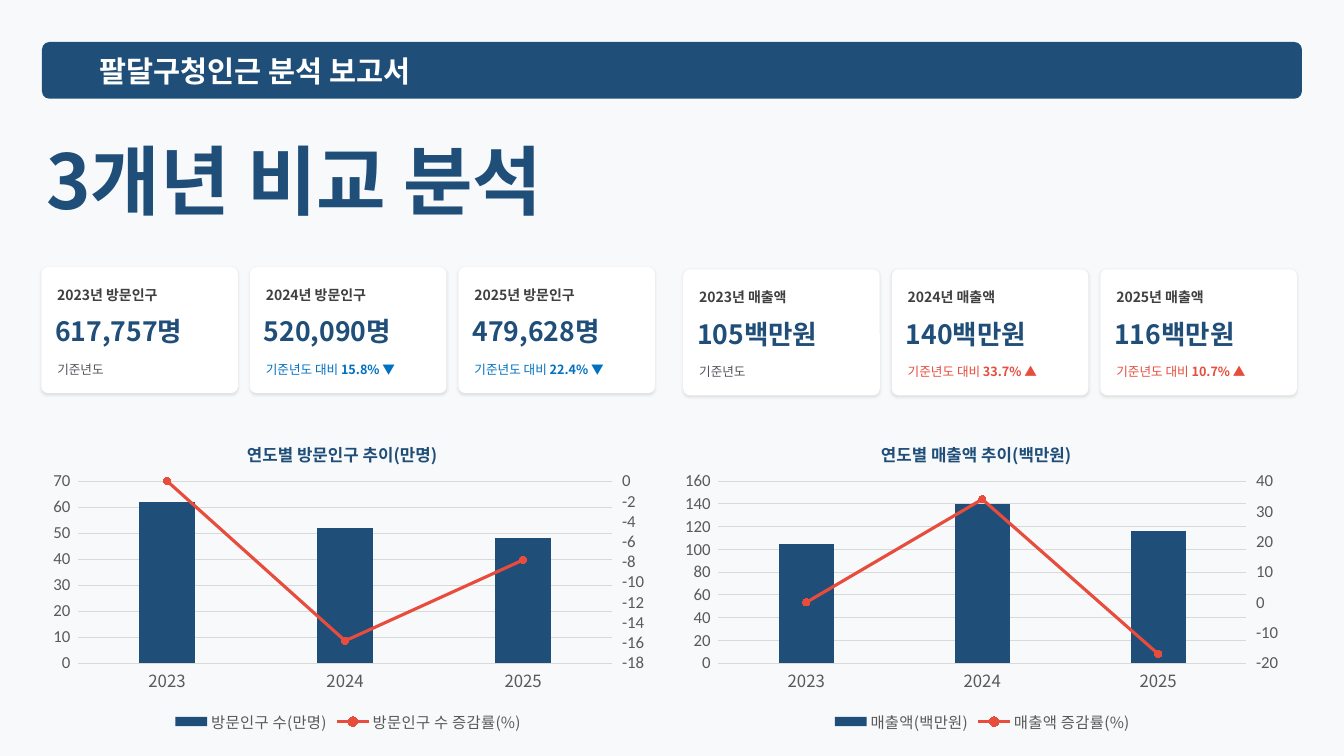
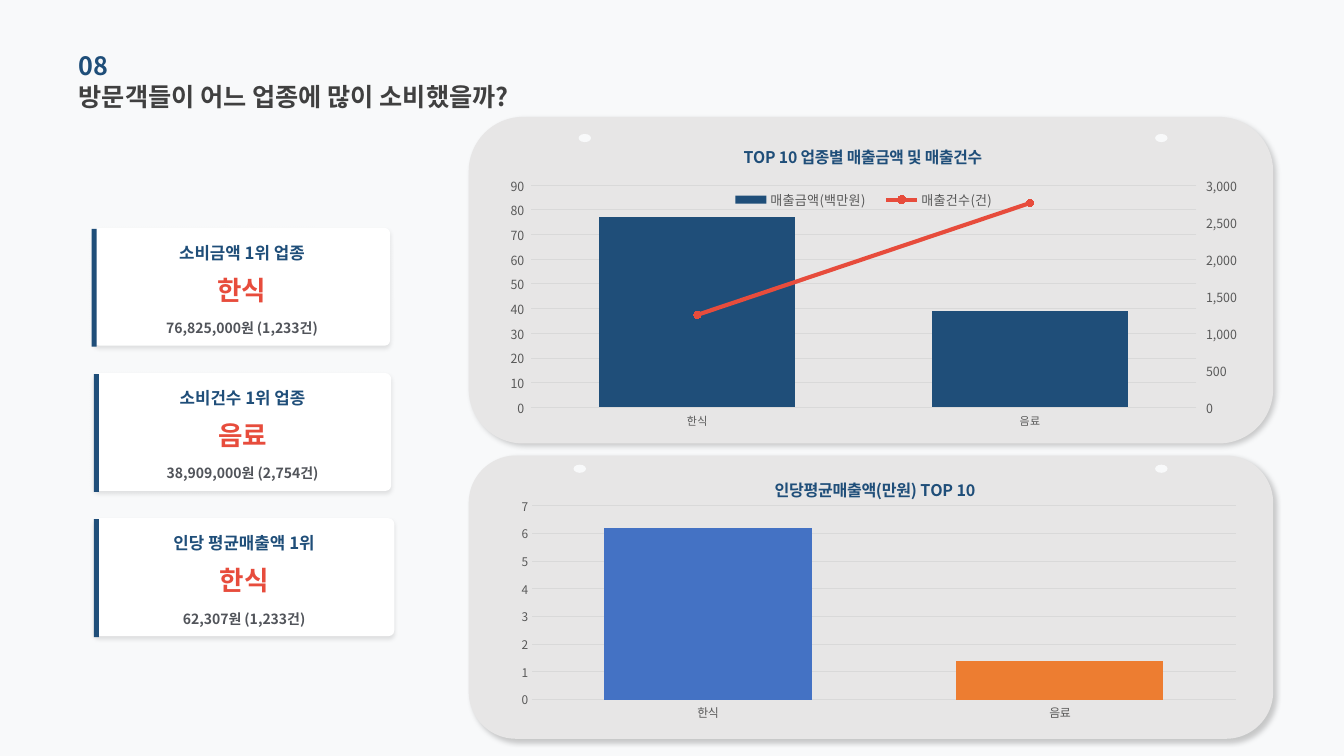
import dataclasses

import pptx
import pptx.chart.axis
import pptx.chart.data
import pptx.dml.color
import pptx.enum.chart
import pptx.enum.shapes
import pptx.enum.text
import pptx.oxml
import pptx.oxml.ns
import pptx.util

Pt = pptx.util.Pt
qn = pptx.oxml.ns.qn
SHAPE = pptx.enum.shapes.MSO_SHAPE
ALIGN = pptx.enum.text.PP_ALIGN
TICK = pptx.enum.chart.XL_TICK_MARK
LEGEND = pptx.enum.chart.XL_LEGEND_POSITION


@dataclasses.dataclass(frozen=True)
class Theme:
    """Colours, fonts and type sizes shared by the slides."""
    background: str = "F8F9FA"
    white: str = "FFFFFF"
    navy: str = "1F4E79"
    red: str = "E74C3C"
    blue: str = "0070C0"
    dark: str = "404040"
    grey: str = "51545A"
    axis: str = "595959"
    grid: str = "D9D9D9"
    panel: str = "E7E6E6"
    point_colors: tuple = ("4472C4", "ED7D31")
    font: str = "Noto Sans CJK KR"
    number_font: str = "Calibri"
    hero: float = 54
    banner: float = 21
    value: float = 19
    title: float = 18
    heading: float = 12
    label: float = 10
    note: float = 9


THEME = Theme()


@dataclasses.dataclass(frozen=True)
class ChartLook:
    """Type sizes and plot settings of one kind of chart."""
    title_size: float
    category_size: float
    value_size: float
    legend_size: float
    value_font: str
    gap: int
    overlap: int
    line_width: float
    legend_position: object


TREND_LOOK = ChartLook(12, 12, 12, 11, THEME.number_font, 219, 0, 2.25, LEGEND.BOTTOM)
SALES_LOOK = ChartLook(11.5, 8, 9, 9.5, THEME.font, 70, -27, 3, LEGEND.TOP)
AVERAGE_LOOK = dataclasses.replace(SALES_LOOK, category_size=8.5, value_size=8.5)


def rgb(color):
    """Return a colour object for a hex string."""
    return pptx.dml.color.RGBColor.from_string(color)


def points(*lengths):
    """Convert lengths in points."""
    return [Pt(length) for length in lengths]


def format_font(font, size, color, bold=False, name=THEME.font):
    """Apply size, colour, weight and typeface to a font."""
    font.size, font.bold, font.name = Pt(size), bold, name
    font.color.rgb = rgb(color)


def write(paragraph, text, **style):
    """Add a formatted run of text to a paragraph."""
    run = paragraph.add_run()
    run.text = text
    format_font(run.font, **style)


def set_east_asian_font(element):
    """Name the Korean typeface wherever a Latin one is named."""
    for latin in list(element.iter(qn("a:latin"))):
        latin.addnext(pptx.oxml.parse_xml(
            f'<a:ea {pptx.oxml.ns.nsdecls("a")} typeface="{THEME.font}"/>'))


def fill_frame(shape, text, align=ALIGN.LEFT, **style):
    """Write text into a frame without insets and return its paragraph."""
    frame = shape.text_frame
    frame.margin_left = frame.margin_top = frame.margin_right = frame.margin_bottom = 0
    frame.word_wrap = True
    frame.auto_size = pptx.enum.text.MSO_AUTO_SIZE.NONE
    frame.vertical_anchor = pptx.enum.text.MSO_ANCHOR.MIDDLE
    paragraph = frame.paragraphs[0]
    paragraph.alignment = align
    write(paragraph, text, **style)
    return paragraph


def add_text(shapes, box, text, **style):
    """Add a text box and return its paragraph."""
    return fill_frame(shapes.add_textbox(*points(*box)), text, **style)


def add_block(shapes, kind, box, color, radius=None, shadow=None):
    """Add a filled shape, with shadow as opacity, blur, distance and angle."""
    shape = shapes.add_shape(kind, *points(*box))
    shape.fill.solid()
    shape.fill.fore_color.rgb = rgb(color)
    shape.line.fill.background()
    shape.shadow.inherit = False
    if radius is not None:
        shape.adjustments[0] = radius
    if shadow:
        opacity, blur, distance, angle = shadow
        shape.element.spPr.find(qn("a:effectLst")).append(pptx.oxml.parse_xml(
            f'<a:outerShdw {pptx.oxml.ns.nsdecls("a")} blurRad="{Pt(blur)}" dist="{Pt(distance)}" '
            f'dir="{angle * 60000}" algn="t" rotWithShape="0"><a:srgbClr val="000000">'
            f'<a:alpha val="{opacity * 1000}"/></a:srgbClr></a:outerShdw>'))


def add_title_slide(presentation, box, title, **style):
    """Add a title-only slide with its title moved to a box."""
    slide = presentation.slides.add_slide(presentation.slide_layouts[5])
    shape = slide.shapes.title
    shape.left, shape.top, shape.width, shape.height = points(*box)
    fill_frame(shape, title, bold=True, **style)
    return slide


def set_layout(parent, index, inner=False, **fractions):
    """Fix the place of a chart part as fractions of the chart."""
    for layout in parent.findall(qn("c:layout")):
        parent.remove(layout)
    target = '<c:layoutTarget val="inner"/>' if inner else ""
    modes = "".join(f'<c:{name}Mode val="edge"/>' for name in "xy")
    values = "".join(f'<c:{name} val="{value}"/>' for name, value in fractions.items())
    parent.insert(index, pptx.oxml.parse_xml(
        f'<c:layout {pptx.oxml.ns.nsdecls("c")}><c:manualLayout>{target}{modes}{values}'
        '</c:manualLayout></c:layout>'))


def format_value_axis(axis, scale, look, number_format):
    """Format a value axis whose scale is minimum, maximum and step."""
    axis.minimum_scale, axis.maximum_scale, axis.major_unit = scale
    axis.format.line.fill.background()
    labels = axis.tick_labels
    labels.number_format, labels.number_format_is_linked = number_format, False
    format_font(labels.font, look.value_size, THEME.axis, name=look.value_font)


def move_to_line(plot_area):
    """Turn the second series into a line on a right axis and return the axis."""
    namespaces = pptx.oxml.ns.nsdecls("c")
    bars = plot_area.find(qn("c:barChart"))
    series = bars.findall(qn("c:ser"))[1]
    for flag in series.findall(qn("c:invertIfNegative")):
        series.remove(flag)
    line = pptx.oxml.parse_xml(
        f'<c:lineChart {namespaces}><c:grouping val="standard"/><c:varyColors val="0"/>'
        '<c:marker val="1"/><c:axId val="50010"/><c:axId val="50020"/></c:lineChart>')
    line.insert(2, series)
    bars.addnext(line)
    anchor = plot_area.findall(qn("c:valAx"))[-1]
    for kind, own, other, hidden, side, crosses in (
            ("catAx", 50010, 50020, 1, "b", "autoZero"), ("valAx", 50020, 50010, 0, "r", "max")):
        axis = pptx.oxml.parse_xml(
            f'<c:{kind} {namespaces}><c:axId val="{own}"/><c:scaling><c:orientation val="minMax"/>'
            f'</c:scaling><c:delete val="{hidden}"/><c:axPos val="{side}"/><c:majorTickMark val="out"/>'
            '<c:minorTickMark val="none"/><c:tickLblPos val="nextTo"/>'
            f'<c:crossAx val="{other}"/><c:crosses val="{crosses}"/></c:{kind}>')
        anchor.addnext(axis)
        anchor = axis
    return pptx.chart.axis.ValueAxis(anchor)


def format_line_series(series, width):
    """Format the line and its round markers."""
    series.smooth = False
    series.format.line.width = Pt(width)
    series.format.line.color.rgb = rgb(THEME.red)
    series.marker.style, series.marker.size = pptx.enum.chart.XL_MARKER_STYLE.CIRCLE, 5
    series.marker.format.fill.solid()
    series.marker.format.fill.fore_color.rgb = rgb(THEME.red)
    series.marker.format.line.color.rgb = rgb(THEME.red)


def add_column_chart(slide, box, look, title, title_place, plot, categories, series, scale,
                     right_scale=None, number_format="#,##0_ ", right_format="General",
                     legend_place=None, point_colors=()):
    """Add a column chart, with a line on a right axis when it has a right scale."""
    data = pptx.chart.data.CategoryChartData()
    data.categories = categories
    for name, values in series:
        data.add_series(name, values)
    chart = slide.shapes.add_chart(
        pptx.enum.chart.XL_CHART_TYPE.COLUMN_CLUSTERED, *points(*box), data).chart
    chart.font.size, chart.font.name = Pt(THEME.label), THEME.number_font

    chart.has_title = True
    write(chart.chart_title.text_frame.paragraphs[0], title,
          size=look.title_size, color=THEME.navy, bold=True)
    chart_element = chart.element.find(qn("c:chart"))
    chart.chart_title.include_in_layout = False
    set_layout(chart_element.find(qn("c:title")), 1, x=title_place[0], y=title_place[1])

    columns = chart.plots[0]
    columns.gap_width, columns.overlap, columns.vary_by_categories = look.gap, look.overlap, False
    column_series = columns.series[0]
    column_series.invert_if_negative = False
    column_series.format.fill.solid()
    column_series.format.fill.fore_color.rgb = rgb(THEME.navy)
    for index, color in enumerate(point_colors):
        fill = column_series.points[index].format.fill
        fill.solid()
        fill.fore_color.rgb = rgb(color)

    category_axis, value_axis = chart.category_axis, chart.value_axis
    category_axis.major_tick_mark = value_axis.major_tick_mark = TICK.NONE
    format_font(category_axis.tick_labels.font, look.category_size, THEME.axis)
    value_axis.has_major_gridlines = True
    for line in (category_axis.format.line, value_axis.major_gridlines.format.line):
        line.width = Pt(0.75)
        line.color.rgb = rgb(THEME.grid)
    format_value_axis(value_axis, scale, look, number_format)

    plot_area = chart_element.find(qn("c:plotArea"))
    chart.has_legend = right_scale is not None
    if right_scale:
        format_value_axis(move_to_line(plot_area), right_scale, look, right_format)
        format_line_series(chart.plots[1].series[0], look.line_width)
        chart.legend.position = look.legend_position
        chart.legend.include_in_layout = False
        format_font(chart.legend.font, look.legend_size, THEME.axis)
        if legend_place:
            set_layout(chart_element.find(qn("c:legend")), 1, **dict(zip("xywh", legend_place)))
    set_layout(plot_area, 0, inner=True, **dict(zip("xywh", plot)))
    clear = (f'<c:spPr {pptx.oxml.ns.nsdecls("c", "a")}><a:noFill/>'
             '<a:ln><a:noFill/></a:ln></c:spPr>')
    plot_area.append(pptx.oxml.parse_xml(clear))
    chart_element.addnext(pptx.oxml.parse_xml(clear))
    set_east_asian_font(chart.element)


def add_figure_card(slide, left, top, label, value, note, change="", color=THEME.grey, label_width=80):
    """Add a white card with a label, a figure and its change."""
    add_block(slide.shapes, SHAPE.ROUNDED_RECTANGLE, (left, top, 140.4, 90), THEME.white,
              0.053, (10, 2, 1, 90))
    add_text(slide.shapes, (left + 11.4, top + 13, label_width, 13), label,
             size=THEME.label, color=THEME.dark, bold=True)
    add_text(slide.shapes, (left + 10, top + 35.3, 138, 21), value,
             size=THEME.value, color=THEME.navy, bold=True)
    paragraph = add_text(slide.shapes, (left + 11.4, top + 65.5, 126, 15), note,
                         size=THEME.note, color=color)
    if change:
        write(paragraph, change, size=THEME.note, color=color, bold=True)


def add_rank_card(slide, box, accent_left, heading, winner, detail):
    """Add a white card with a navy edge and three centred lines."""
    left, top, width, height = box
    shapes = slide.shapes.add_group_shape().shapes
    add_block(shapes, SHAPE.ROUNDED_RECTANGLE, box, THEME.white, 0.048, (10, 3, 2, 90))
    for offset, line_height, text, size, color in (
            (9.5, 16, heading, THEME.heading, THEME.navy),
            (32, 24, winner, THEME.value, THEME.red),
            (65.5, 12, detail, THEME.label, THEME.grey)):
        add_text(shapes, (left, top + offset, width, line_height), text,
                 align=ALIGN.CENTER, size=size, color=color, bold=True)
    add_block(slide.shapes, SHAPE.RECTANGLE, (accent_left, top + 0.7, 3.6, height), THEME.navy)


def add_chart_panel(slide, box, chart_top, chart_size, holes, hole_top, look, **chart):
    """Add a grey panel holding a chart under two pin holes."""
    left, top = box[:2]
    add_block(slide.shapes, SHAPE.ROUNDED_RECTANGLE, box, THEME.panel, shadow=(20, 4, 3, 45))
    add_column_chart(slide, (left + 23.8, top + chart_top, *chart_size), look, **chart)
    for offset in holes:
        add_block(slide.shapes, SHAPE.OVAL, (left + offset, top + hole_top, 8.9, 5.8), THEME.background)


def build_comparison(presentation):
    """Build the slide comparing three years."""
    slide = add_title_slide(presentation, (33, 88.6, 455, 78.5), "3개년 비교 분석",
                            size=THEME.hero, color=THEME.navy)
    add_block(slide.shapes, SHAPE.ROUNDED_RECTANGLE, (30, 30, 900, 40.5), THEME.navy, 0.132)
    add_text(slide.shapes, (71.3, 35.3, 817, 31), "팔달구청인근 분석 보고서",
             size=THEME.banner, color=THEME.white, bold=True)
    base, versus = "기준년도", "기준년도 대비 "
    visitors = (("2023년 방문인구", "617,757명", base),
                ("2024년 방문인구", "520,090명", versus, "15.8% ▼", THEME.blue),
                ("2025년 방문인구", "479,628명", versus, "22.4% ▼", THEME.blue, 74))
    sales = (("2023년 매출액", "105백만원", base),
             ("2024년 매출액", "140백만원", versus, "33.7% ▲", THEME.red),
             ("2025년 매출액", "116백만원", versus, "10.7% ▲", THEME.red))
    for left, top, cards in ((29.5, 190.8, visitors), (488, 192.4, sales)):
        for index, card in enumerate(cards):
            add_figure_card(slide, left + 149 * index, top, *card)
    years = ("2023", "2024", "2025")
    add_column_chart(slide, (29.5, 298, 438.5, 228.2), TREND_LOOK, "연도별 방문인구 추이(만명)",
                     (0.33, 0.06), (0.06, 0.2, 0.87, 0.57), years,
                     (("방문인구 수(만명)", (62, 52, 48)), ("방문인구 수 증감률(%)", (0, -15.8, -7.8))),
                     (0, 70, 10), (-18, 0, 2), number_format="#,##0_);[Red]\\(#,##0\\)")
    add_column_chart(slide, (482.4, 298, 438.5, 228.2), TREND_LOOK, "연도별 매출액 추이(백만원)",
                     (0.33, 0.06), (0.07, 0.2, 0.86, 0.57), years,
                     (("매출액(백만원)", (105, 140, 116)), ("매출액 증감률(%)", (0, 34, -17))),
                     (0, 160, 20), (-20, 40, 10))
    set_east_asian_font(slide.element)


def build_spending(presentation):
    """Build the slide about spending by type of business."""
    slide = add_title_slide(presentation, (56.2, 54, 325.4, 29.5), "방문객들이 어느 업종에 많이 소비했을까?",
                            size=THEME.title, color=THEME.dark)
    add_text(slide.shapes, (56.2, 31.7, 325.4, 29.5), "08",
             size=THEME.title, color=THEME.navy, bold=True)
    cards = ((65.5, 211.7, "소비금액 1위 업종", "한식", "76,825,000원 (1,233건)"),
             (67, 212.4, "소비건수 1위 업종", "음료", "38,909,000원 (2,754건)"),
             (67, 214.6, "인당 평균매출액 1위", "한식", "62,307원 (1,233건)"))
    for index, (accent_left, width, *lines) in enumerate(cards):
        add_rank_card(slide, (67, 162.8 + 103.7 * index, width, 84.2), accent_left, *lines)
    kinds = ("한식", "음료")
    add_chart_panel(slide, (334.8, 83.5, 574.6, 233.3), 5.8, (527, 226.8), (78.5, 490.3), 12.2,
                    SALES_LOOK, title="TOP 10 업종별 매출금액 및 매출건수", title_place=(0.33, 0.05),
                    plot=(0.04, 0.19, 0.92, 0.7), categories=kinds,
                    series=(("매출금액(백만원)", (77, 39)), ("매출건수(건)", (1250, 2760))),
                    scale=(0, 90, 10), right_scale=(0, 3000, 500), right_format="#,##0_ ",
                    legend_place=(0.3, 0.2, 0.4, 0.07))
    add_chart_panel(slide, (334.8, 325.4, 574.6, 202.3), 1.4, (535, 192.2), (74.9, 490.3), 6.5,
                    AVERAGE_LOOK, title="인당평균매출액(만원) TOP 10", title_place=(0.36, 0.06),
                    plot=(0.04, 0.18, 0.94, 0.72), categories=kinds,
                    series=(("Series 1", (6.2, 1.4)),), scale=(0, 7, 1), number_format="General",
                    point_colors=THEME.point_colors)
    set_east_asian_font(slide.element)


def main():
    """Build and save the presentation."""
    presentation = pptx.Presentation()
    presentation.slide_width, presentation.slide_height = points(960, 540)
    background = presentation.slide_master.background.fill
    background.solid()
    background.fore_color.rgb = rgb(THEME.background)
    build_comparison(presentation)
    build_spending(presentation)
    presentation.save("out.pptx")


if __name__ == "__main__":
    main()
